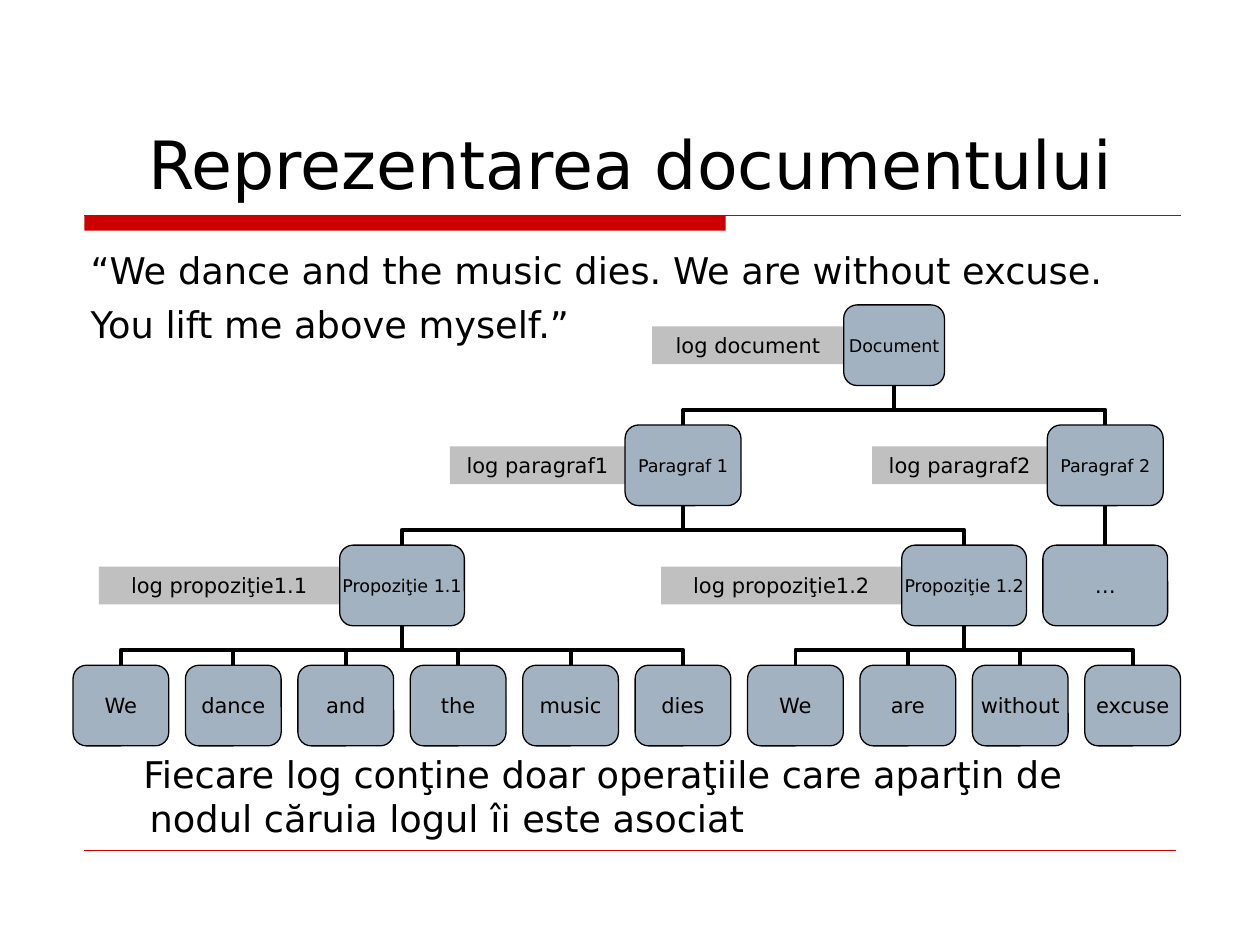
from dataclasses import dataclass, field

from pptx import Presentation
from pptx.dml.color import RGBColor
from pptx.enum.shapes import MSO_CONNECTOR as Connector, MSO_SHAPE as Shape
from pptx.enum.text import MSO_ANCHOR as Anchor, PP_ALIGN as Align
from pptx.oxml.ns import qn
from pptx.util import Inches, Pt
from lxml import etree

FONT = "DejaVu Sans"
COLORS = {"text": "000000", "accent": "CC0000", "node": "A3B2C1", "label": "C0C0C0"}
NODE_HEIGHT, LABEL_HEIGHT, GAP = 0.64, 0.3, 0.13
LEAF_WIDTH, SENTENCE_WIDTH, PARAGRAPH_WIDTH, DOCUMENT_WIDTH = 0.76, 0.99, 0.92, 0.8
WORDS = ["We", "dance", "and", "the", "music", "dies", "We", "are", "without", "excuse"]


@dataclass
class Node:
    text: str
    level: int
    width: float
    center: float
    size: int = 10
    label: str = ""
    label_width: float = 0
    children: list = field(default_factory=list)


def color(name):
    return RGBColor.from_string(COLORS[name])


def add_run(paragraph, text, size):
    run = paragraph.add_run()
    run.text = text
    run.font.name, run.font.size = FONT, Pt(size)
    run.font.color.rgb = color("text")


def add_line(slide, kind, box, line_color, width):
    """Box is left, top, right, bottom."""
    line = slide.shapes.add_connector(kind, *[Inches(value) for value in box])
    line.line.color.rgb = color(line_color)
    line.line.width = Pt(width)
    etree.SubElement(line._element.spPr, qn("a:effectLst"))
    return line


def add_box(slide, kind, box, fill, text="", size=12):
    shape = slide.shapes.add_shape(kind, *[Inches(value) for value in box])
    shape.shadow.inherit = False
    shape.fill.solid()
    shape.fill.fore_color.rgb = color(fill)
    shape.line.fill.background()
    frame = shape.text_frame
    frame.word_wrap = False
    frame.vertical_anchor = Anchor.MIDDLE
    frame.margin_left = frame.margin_right = Inches(0.03)
    frame.margin_top = frame.margin_bottom = Inches(0.02)
    if text:
        frame.paragraphs[0].alignment = Align.CENTER
        add_run(frame.paragraphs[0], text, size)
    return shape


def add_text(slide, box, lines, size, align=Align.LEFT, anchor=Anchor.TOP, space=0):
    frame = slide.shapes.add_textbox(*[Inches(value) for value in box]).text_frame
    frame.word_wrap = True
    frame.vertical_anchor = anchor
    for index, text in enumerate(lines):
        paragraph = frame.add_paragraph() if index else frame.paragraphs[0]
        paragraph.alignment = align
        paragraph.space_before = Pt(space)
        add_run(paragraph, text, size)
    return frame


def add_header(slide, left, top, width, height):
    rule = top + height + 0.05
    add_text(slide, (left, top, width, height), ["Reprezentarea documentului"], 38,
             Align.CENTER, Anchor.BOTTOM)
    add_box(slide, Shape.RECTANGLE, (left + 0.04, rule, 5.09, 0.12), "accent")
    add_line(slide, Connector.STRAIGHT, (left + 0.04, rule, left + width - 0.01, rule),
             "accent", 0.75)


def add_quote(slide, left, top, width, height):
    add_text(slide, (left, top, width, height),
             ["“We dance and the music dies. We are without excuse.",
              "You lift me above myself.”"], 21, space=5.2)


def add_footer(slide, left, top, width, height):
    frame = add_text(slide, (left, top, width, height),
                     ["Fiecare log conţine doar operaţiile care aparţin de "
                      "nodul căruia logul îi este asociat"], 21, space=5.2)
    properties = frame.paragraphs[0]._p.get_or_add_pPr()
    properties.set("marL", str(Inches(0.51)))
    properties.set("indent", str(Inches(-0.05)))
    rule = top + height
    add_line(slide, Connector.STRAIGHT, (left + 0.09, rule, left + width, rule),
             "accent", 0.25)


def add_branch(slide, parent_x, parent_y, child_x, child_y):
    """Elbow from child top up to parent bottom, bending vertically first."""
    if abs(child_x - parent_x) < 0.01:
        add_line(slide, Connector.STRAIGHT, (child_x, child_y, parent_x, parent_y), "text", 2.25)
        return
    # The elbow preset starts sideways, so its box is turned a quarter
    run, rise = abs(child_x - parent_x), child_y - parent_y
    middle_x, middle_y = (child_x + parent_x) / 2, (child_y + parent_y) / 2
    line = add_line(slide, Connector.ELBOW,
                    (middle_x - rise / 2, middle_y - run / 2,
                     middle_x + rise / 2, middle_y + run / 2), "text", 2.25)
    frame = line._element.spPr.find(qn("a:xfrm"))
    on_right = child_x > parent_x
    frame.set("rot", "16200000" if on_right else "5400000")
    frame.set("flipH", "0" if on_right else "1")
    frame.set("flipV", "1")
    guides = line._element.spPr.find(qn("a:prstGeom")).find(qn("a:avLst"))
    etree.SubElement(guides, qn("a:gd"), name="adj1", fmla="val 39000")


def midpoint(nodes):
    return (nodes[0].center + nodes[-1].center) / 2


def build_nodes(width):
    """Each parent stands above the middle of its children."""
    pitch = (width - LEAF_WIDTH) / (len(WORDS) - 1)
    leaves = [Node(word, 3, LEAF_WIDTH, LEAF_WIDTH / 2 + index * pitch, 12)
              for index, word in enumerate(WORDS)]
    sentences = [Node(f"Propoziţie 1.{number}", 2, SENTENCE_WIDTH, midpoint(group), 10,
                      f"log propoziţie1.{number}", 1.91, group)
                 for number, group in enumerate([leaves[:6], leaves[6:]], 1)]
    more = Node("…", 2, SENTENCE_WIDTH, sentences[1].center + SENTENCE_WIDTH + GAP, 12)
    paragraphs = [Node(f"Paragraf {number}", 1, PARAGRAPH_WIDTH, midpoint(group), 10,
                       f"log paragraf{number}", 1.39, group)
                  for number, group in enumerate([sentences, [more]], 1)]
    document = Node("Document", 0, DOCUMENT_WIDTH, midpoint(paragraphs), 10,
                    "log document", 1.52, paragraphs)
    return [document, *paragraphs, *sentences, more, *leaves]


def add_tree(slide, left, top, width, height):
    step = (height - NODE_HEIGHT) / 3
    nodes = build_nodes(width)
    # Branches lie behind the nodes
    for node in nodes:
        for child in node.children:
            add_branch(slide, left + node.center, top + node.level * step + NODE_HEIGHT,
                       left + child.center, top + child.level * step)
    # Nodes, each with its log label on the left
    for node in nodes:
        node_left, node_top = left + node.center - node.width / 2, top + node.level * step
        if node.label:
            add_box(slide, Shape.RECTANGLE,
                    (node_left - node.label_width, node_top + (NODE_HEIGHT - LABEL_HEIGHT) / 2,
                     node.label_width, LABEL_HEIGHT), "label", node.label)
        shape = add_box(slide, Shape.ROUNDED_RECTANGLE,
                        (node_left, node_top, node.width, NODE_HEIGHT),
                        "node", node.text, node.size)
        shape.line.color.rgb = color("text")
        shape.line.width = Pt(0.75)


def main():
    presentation = Presentation()
    presentation.slide_width, presentation.slide_height = Inches(10), Inches(7.5)
    slide = presentation.slides.add_slide(presentation.slide_layouts[6])
    add_header(slide, 0.63, 0.33, 8.75, 1.33)
    add_quote(slide, 0.62, 1.92, 8.75, 0.9)
    add_tree(slide, 0.58, 2.42, 8.79, 3.5)
    add_footer(slide, 0.58, 5.92, 8.75, 0.83)
    presentation.save("out.pptx")


if __name__ == "__main__":
    main()
